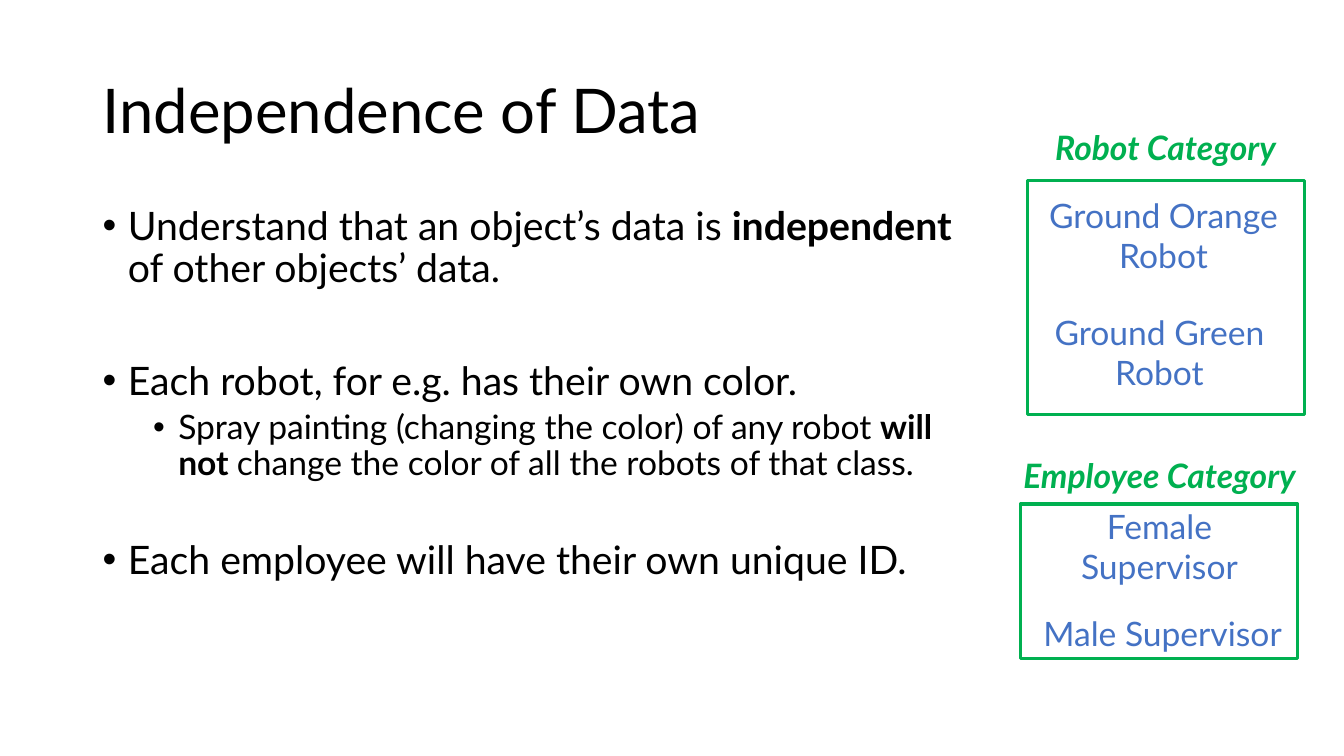
from dataclasses import dataclass

from lxml.etree import SubElement
from pptx import Presentation
from pptx.dml.color import RGBColor
from pptx.enum.shapes import MSO_SHAPE
from pptx.enum.text import MSO_ANCHOR, PP_ALIGN
from pptx.oxml.ns import qn
from pptx.util import Pt

PX = 9144  # EMU per px, 100 px to the inch


@dataclass(frozen=True)
class Theme:
    font: str = "Lato"
    ink: RGBColor = RGBColor(0x00, 0x00, 0x00)
    member: RGBColor = RGBColor(0x44, 0x72, 0xC4)
    category: RGBColor = RGBColor(0x00, 0xB0, 0x50)
    title: int = 44
    point: int = 28
    detail: int = 24
    label: int = 24
    outline: float = 2.25


THEME = Theme()


def px(*lengths):
    return [length * PX for length in lengths]


def add_bullet(paragraph, indent):
    properties = paragraph._p.get_or_add_pPr()
    properties.set("marL", str(indent * PX))
    properties.set("indent", str(-25 * PX))
    SubElement(properties, qn("a:buFont")).set("typeface", "Arial")
    SubElement(properties, qn("a:buChar")).set("char", "•")


def write(paragraph, text, *, size, color=THEME.ink, bold=False, italic=False,
          align=PP_ALIGN.LEFT, line=1.0, before=0, indent=None):
    """Write text into a paragraph; parts between asterisks become bold."""
    if indent is not None:
        add_bullet(paragraph, indent)
    paragraph.alignment = align
    paragraph.line_spacing = line
    paragraph.space_before = Pt(before)
    for position, part in enumerate(text.split("*")):
        run = paragraph.add_run()
        run.text = part
        run.font.name = THEME.font
        run.font.size = Pt(size)
        run.font.color.rgb = color
        run.font.bold = bold or position % 2 == 1
        run.font.italic = italic


def add_text_frame(shapes, area, anchor=MSO_ANCHOR.TOP):
    frame = shapes.add_textbox(*px(*area)).text_frame
    frame.word_wrap = True
    frame.vertical_anchor = anchor
    return frame


def add_label(shapes, text, area, **look):
    frame = add_text_frame(shapes, area)
    write(frame.paragraphs[0], text, size=THEME.label, align=PP_ALIGN.CENTER, **look)


def add_points(shapes, area, points):
    frame = add_text_frame(shapes, area)
    for number, (text, level, before) in enumerate(points):
        paragraph = frame.add_paragraph() if number else frame.paragraphs[0]
        paragraph.level = level
        write(paragraph, text, size=THEME.detail if level else THEME.point,
              line=0.9, before=before, indent=25 + 50 * level)


def add_category(slide, heading, heading_area, frame_area, members):
    group = slide.shapes.add_group_shape().shapes
    for member, area in members:
        add_label(group, member, area, color=THEME.member)
    border = group.add_shape(MSO_SHAPE.RECTANGLE, *px(*frame_area))
    border.shadow.inherit = False
    border.fill.background()
    border.line.color.rgb = THEME.category
    border.line.width = Pt(THEME.outline)
    add_label(group, heading, heading_area, color=THEME.category,
              bold=True, italic=True)


def main():
    deck = Presentation()
    deck.slide_width, deck.slide_height = px(1333, 750)
    slide = deck.slides.add_slide(deck.slide_layouts[6])

    # Title
    title = add_text_frame(slide.shapes, (92, 40, 1150, 145), MSO_ANCHOR.MIDDLE)
    write(title.paragraphs[0], "Independence of Data", size=THEME.title, line=0.9)

    # Points: text, level, space before
    add_points(slide.shapes, (92, 200, 893, 476), [
        ("Understand that an object’s data is *independent* of other objects’ data.", 0, 0),
        ("Each robot, for e.g. has their own color.", 0, 50),
        ("Spray painting (changing the color) of any robot *will not *"
         "change the color of all the robots of that class.", 1, 5),
        ("Each employee will have their own unique ID.", 0, 41),
    ])

    # Categories with their members
    add_category(slide, "Robot Category", (1023, 121, 266, 50), (1019, 179, 275, 232), [
        ("Ground Orange Robot", (1010, 188, 288, 91)),
        ("Ground Green Robot", (1006, 304, 288, 91)),
    ])
    add_category(slide, "Employee Category", (978, 446, 344, 50), (1012, 500, 275, 153), [
        ("Female Supervisor", (1006, 497, 288, 91)),
        ("Male Supervisor", (1009, 603, 288, 50)),
    ])

    deck.save("out.pptx")


if __name__ == "__main__":
    main()
